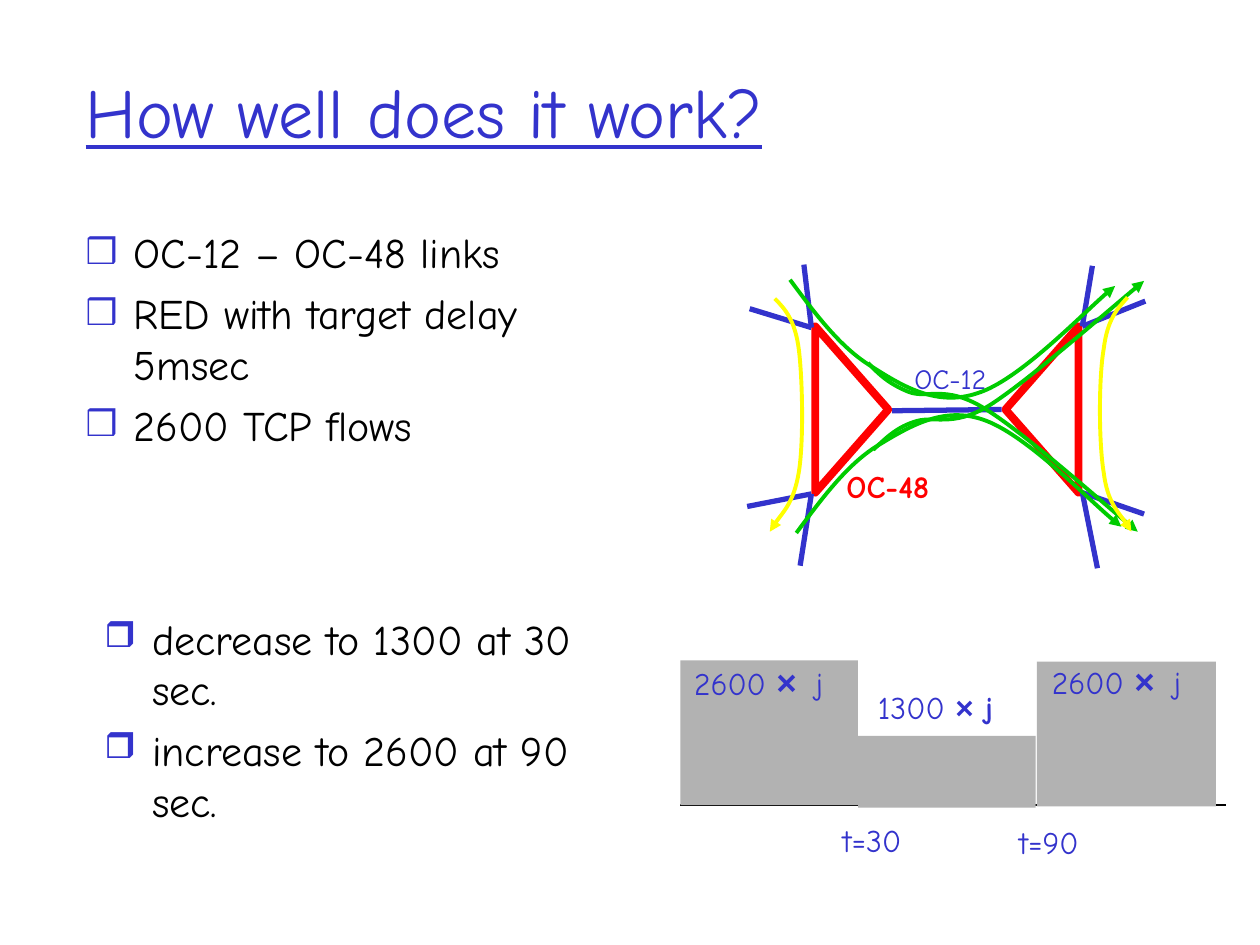
from lxml import etree
from pptx import Presentation
from pptx import util as u
from pptx.dml.color import RGBColor
from pptx.enum import shapes, text
from pptx.oxml import ns

COLORS = {"blue": "3333CC", "red": "FF0000", "green": "00CC00", "yellow": "FFFF00",
          "gray": "B2B2B2", "black": "000000"}
FONT = "Comic Neue"


def write(frame, paragraphs, size=18, color="blue", underline=None, bullet=None,
          wrap=True, fit=text.MSO_AUTO_SIZE.NONE, anchor=text.MSO_ANCHOR.TOP):
    frame.word_wrap, frame.auto_size, frame.vertical_anchor = wrap, fit, anchor
    for index, runs in enumerate(paragraphs):
        paragraph = frame.paragraphs[0] if index == 0 else frame.add_paragraph()
        paragraph.alignment = text.PP_ALIGN.LEFT
        paragraph.space_before = u.Pt(6 if index else 0)
        if bullet:
            properties = paragraph._p.get_or_add_pPr()
            properties.set("marL", str(u.Inches(0.38)))
            properties.set("indent", str(u.Inches(-0.38)))
            bullet_color = etree.SubElement(properties, ns.qn("a:buClr"))
            etree.SubElement(bullet_color, ns.qn("a:srgbClr"), val=COLORS["blue"])
            etree.SubElement(properties, ns.qn("a:buSzPct"), val="85000")
            etree.SubElement(properties, ns.qn("a:buChar"), char=bullet)
        for words, changes in runs:
            run = paragraph.add_run()
            run.text = words
            run.font.name = changes.get("font", FONT)
            run.font.size = u.Pt(changes.get("size", size))
            run.font.bold = changes.get("bold", False)
            run.font.underline = underline
            run.font.color.rgb = RGBColor.from_string(COLORS[color])


def draw_line(shape, color, width):
    shape.line.color.rgb = RGBColor.from_string(COLORS[color])
    shape.line.width = u.Pt(width)


presentation = Presentation()
presentation.slide_width, presentation.slide_height = u.Inches(10), u.Inches(7.5)
slide = presentation.slides.add_slide(presentation.slide_layouts[1])

title = slide.shapes.title
title.left, title.top, title.width, title.height = map(u.Inches, (0.58, 0.25, 8.5, 1.25))
write(title.text_frame, [[("How well does it work?", {})]], size=40, underline=True,
      anchor=text.MSO_ANCHOR.MIDDLE)

body = slide.placeholders[1]
body.left, body.top, body.width, body.height = map(u.Inches, (0.58, 1.75, 4.17, 2.34))
setup = ["OC-12 – OC-48 links", "RED with target delay 5msec", "2600 TCP flows"]
write(body.text_frame, [[(line, {})] for line in setup], size=24, color="black", bullet="❒")

for left, rotation in [(6.1, 90), (7.61, 270)]:
    triangle = slide.shapes.add_shape(
        shapes.MSO_SHAPE.ISOSCELES_TRIANGLE, u.Inches(left), u.Inches(2.96),
        u.Inches(1.32), u.Inches(0.58))
    triangle.rotation = rotation
    triangle.shadow.inherit = False
    triangle.fill.background()
    draw_line(triangle, "red", 4.5)

links = [
    (6.44, 2.6, 5.95, 2.45), (6.44, 3.92, 5.93, 4.02), (7.08, 3.26, 7.95, 3.25),
    (6.44, 2.6, 6.38, 2.1), (6.44, 3.92, 6.35, 4.49), (8.59, 3.91, 8.71, 4.51),
    (8.59, 3.91, 9.08, 4.08), (8.59, 2.59, 9.09, 2.39), (8.59, 2.59, 8.67, 2.11),
]
time_axis = (5.4, 6.39, 9.73, 6.39)
for ends, color, width in [(link, "blue", 3) for link in links] + [(time_axis, "black", 0.75)]:
    connector = slide.shapes.add_connector(
        shapes.MSO_CONNECTOR.STRAIGHT, *map(u.Inches, ends))
    draw_line(connector, color, width)
    etree.SubElement(connector._element.spPr, ns.qn("a:effectLst"))

link_labels = [
    ("OC-48", 6.62, 3.66, 0.86, 0.4, 18, "red", True),
    ("OC-12", 7.16, 2.82, 0.77, 0.37, 16, "blue", False),
]
for label, left, top, width, height, size, color, bold in link_labels:
    box = slide.shapes.add_textbox(*map(u.Inches, (left, top, width, height)))
    write(box.text_frame, [[(label, {"bold": bold})]], size=size, color=color, wrap=False,
          fit=text.MSO_AUTO_SIZE.SHAPE_TO_FIT_TEXT)

flows = [
    ("green", [(6.27, 2.22), (6.47, 2.49), (6.67, 2.76), (6.92, 2.91), (7.17, 3.07),
               (7.44, 3.23), (7.76, 3.12), (8.08, 3.02), (8.67, 2.41), (8.85, 2.27)]),
    ("green", [(6.89, 2.88), (6.97, 2.97), (7.06, 3.05), (7.21, 3.11), (7.36, 3.17),
               (7.5, 3.05), (7.81, 3.24), (8.11, 3.42), (8.83, 4.06), (9.03, 4.22)]),
    ("green", [(6.32, 4.23), (6.52, 3.96), (6.72, 3.69), (6.96, 3.54), (7.21, 3.39),
               (7.48, 3.22), (7.8, 3.33), (8.13, 3.44), (8.71, 4.04), (8.9, 4.18)]),
    ("green", [(6.93, 3.57), (7.02, 3.49), (7.1, 3.4), (7.25, 3.35), (7.41, 3.29),
               (7.55, 3.4), (7.85, 3.22), (8.15, 3.03), (8.87, 2.4), (9.08, 2.23)]),
    ("yellow", [(6.15, 2.37), (6.23, 2.45), (6.31, 2.54), (6.34, 2.77), (6.37, 3),
                (6.38, 3.51), (6.34, 3.75), (6.3, 3.99), (6.15, 4.14), (6.11, 4.22)]),
    ("yellow", [(8.95, 2.36), (8.87, 2.45), (8.79, 2.53), (8.76, 2.77), (8.72, 3),
                (8.72, 3.51), (8.76, 3.75), (8.79, 3.99), (8.94, 4.14), (8.98, 4.22)]),
]
for color, points in flows:
    start, *controls = [(u.Inches(x), u.Inches(y)) for x, y in points]
    builder = slide.shapes.build_freeform(*start)
    builder.add_line_segments(controls, close=False)
    flow = builder.convert_to_shape()
    segments = list(flow._element.iter(ns.qn("a:lnTo")))
    outline = segments[0].getparent()
    for first in range(0, len(segments), 3):
        curve = etree.SubElement(outline, ns.qn("a:cubicBezTo"))
        for segment in segments[first:first + 3]:
            curve.append(segment[0])
            outline.remove(segment)
    flow.shadow.inherit = False
    flow.fill.background()
    draw_line(flow, color, 2.25)
    etree.SubElement(flow.line._get_or_add_ln(), ns.qn("a:tailEnd"), type="triangle")

changes_box = slide.shapes.add_textbox(*map(u.Inches, (0.73, 4.82, 4.17, 2.37)))
load_changes = ["decrease to 1300 at 30 sec.", "increase to 2600 at 90 sec."]
write(changes_box.text_frame, [[(line, {})] for line in load_changes], size=24,
      color="black", bullet="❒")

for left, top, width, height in [(5.4, 5.24, 1.41, 1.15), (6.81, 5.84, 1.41, 0.57),
                                 (8.23, 5.25, 1.42, 1.15)]:
    load = slide.shapes.add_shape(
        shapes.MSO_SHAPE.RECTANGLE, *map(u.Inches, (left, top, width, height)))
    load.shadow.inherit = False
    load.fill.solid()
    load.fill.fore_color.rgb = RGBColor.from_string(COLORS["gray"])
    load.line.fill.background()

high_load = [("2600 ", {}), ("×", {"font": "Arial", "size": 20, "bold": True}),
             (" ", {"size": 32}), ("j", {})]
low_load = [("1300 ", {}), ("×", {"font": "Arial", "bold": True}), (" j", {"bold": True})]
load_labels = [
    ([("t=30", {})], 6.59, 6.47, 0.67, 0.4),
    ([("t=90", {})], 7.99, 6.48, 0.67, 0.4),
    (high_load, 5.41, 5.03, 1.29, 0.63),
    (high_load, 8.25, 5.02, 1.29, 0.63),
    (low_load, 6.87, 5.41, 1.17, 0.4),
]
for runs, *place in load_labels:
    box = slide.shapes.add_textbox(*map(u.Inches, place))
    write(box.text_frame, [runs], wrap=False, fit=text.MSO_AUTO_SIZE.SHAPE_TO_FIT_TEXT)

presentation.save("out.pptx")
